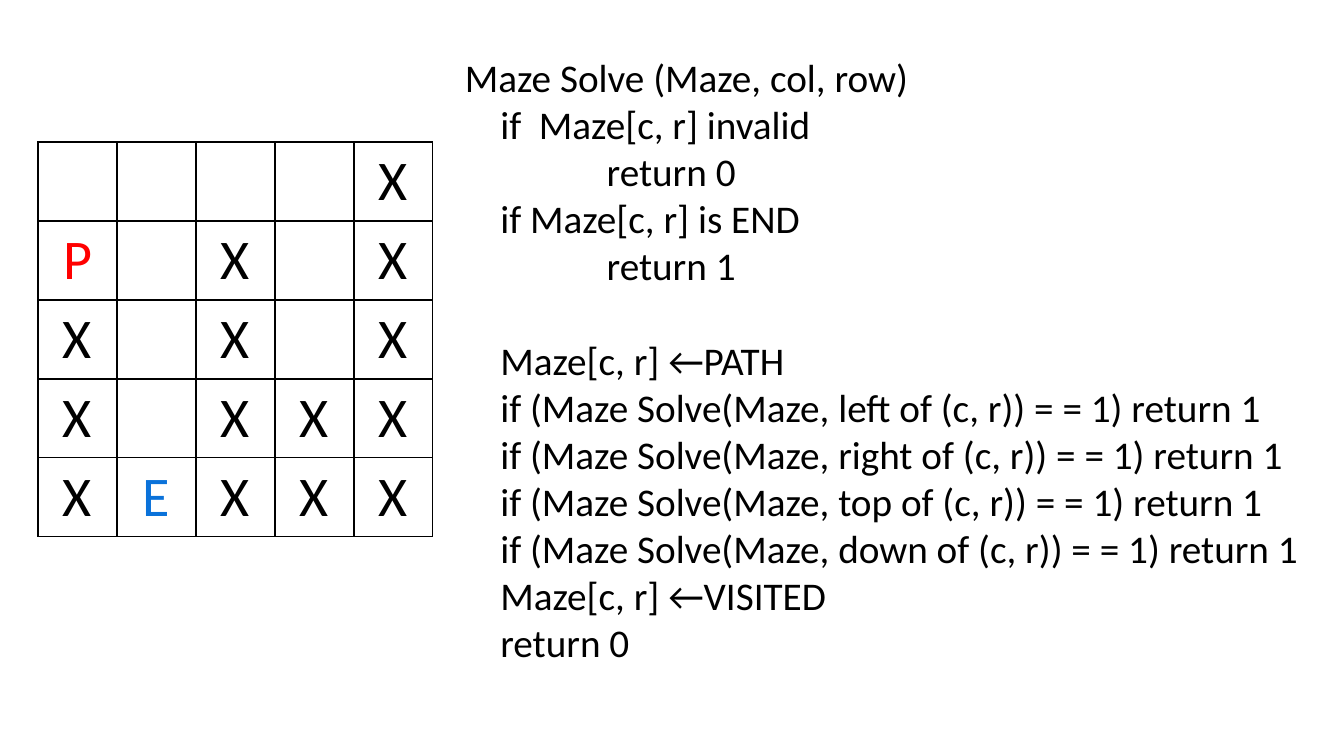
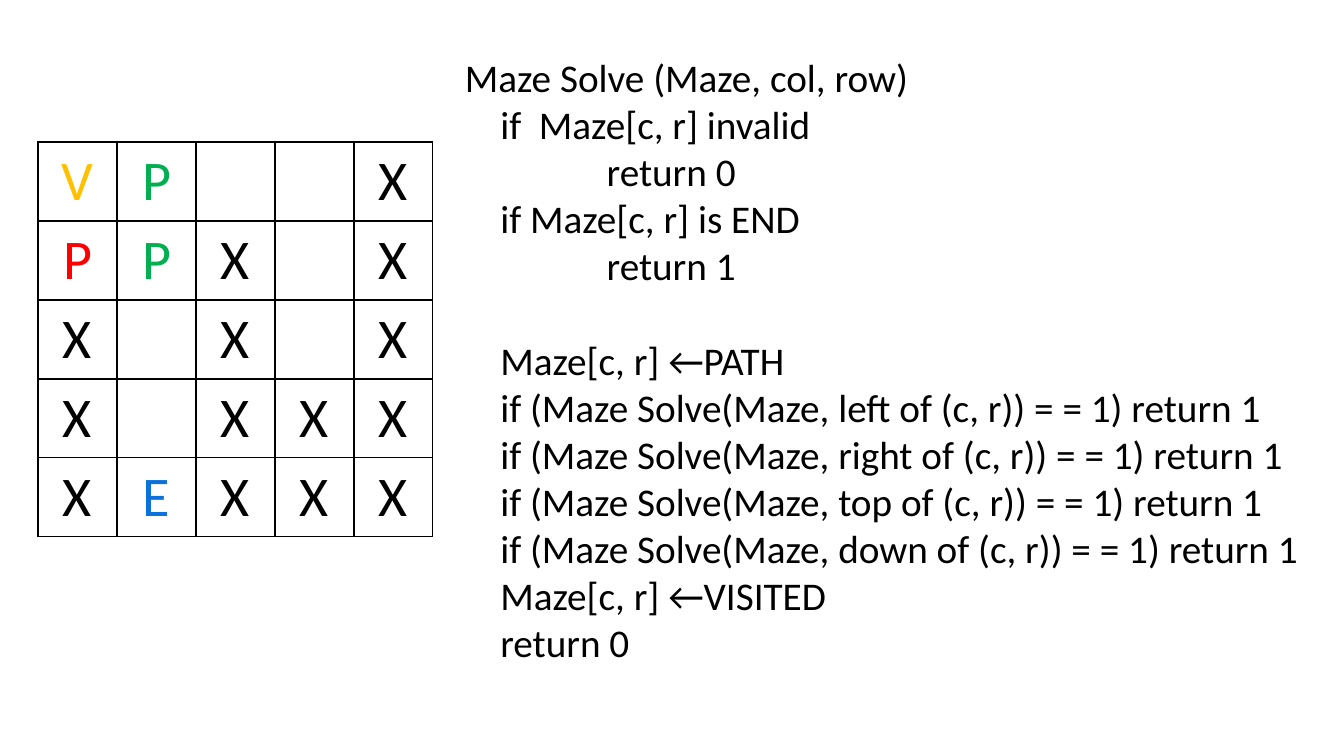
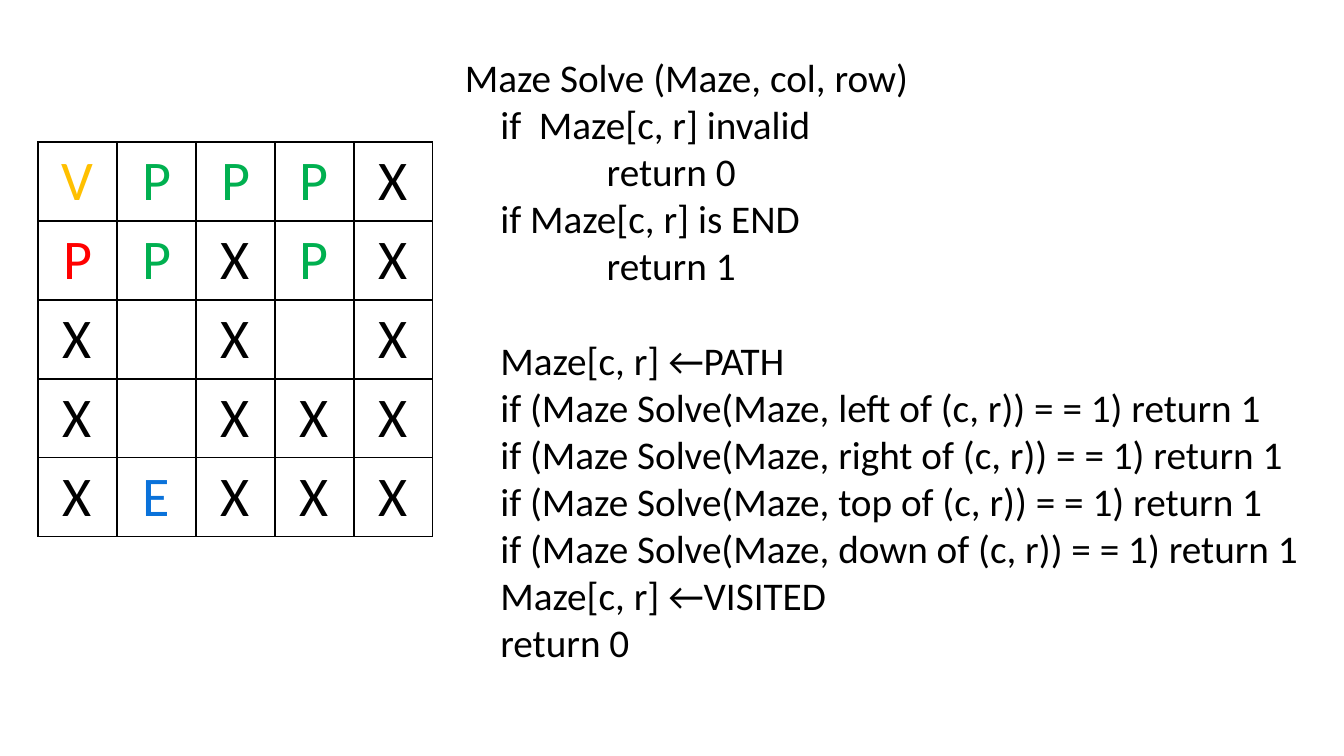
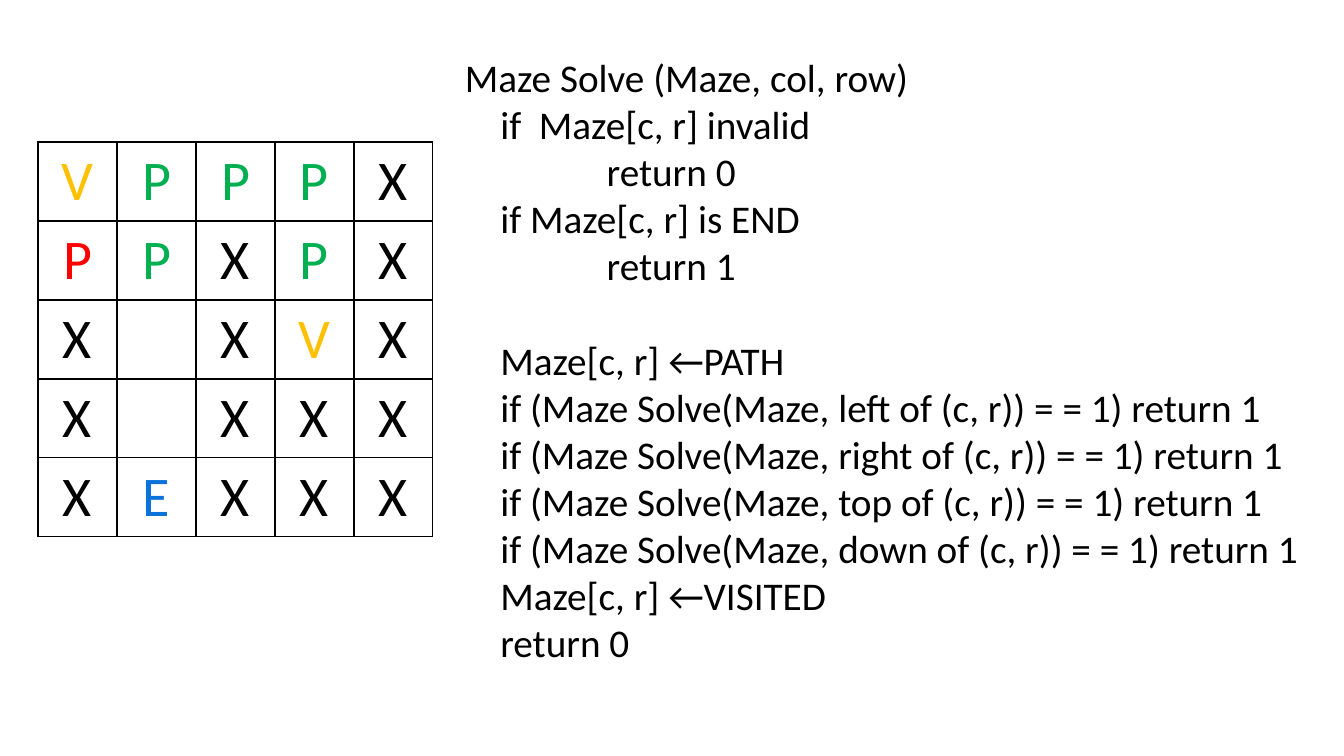
from lxml import etree
from pptx import Presentation
from pptx.dml.color import RGBColor
from pptx.enum.text import MSO_ANCHOR, MSO_AUTO_SIZE, PP_ALIGN
from pptx.oxml.ns import qn
from pptx.util import Emu, Pt

CENTER = PP_ALIGN.CENTER
MIDDLE = MSO_ANCHOR.MIDDLE
GROW = MSO_AUTO_SIZE.SHAPE_TO_FIT_TEXT

EMU_PER_PX = 914400 / 100.8
FONT = "Calibri"
COLORS = {
    "text": "000000",
    "start": "FF0000",
    "X": "000000",
    "E": "0A72DA",
    "P": "00B050",
    "V": "FFC000",
}

# Maze: walls, start and end, then the marks each slide adds by (row, column)
MAZE = [
    "    X",
    "P X X",
    "X X X",
    "X XXX",
    "XEXXX",
]
START = (1, 0)
STEPS = [
    {},
    {(0, 0): "V", (0, 1): "P", (1, 1): "P"},
    {(0, 2): "P", (0, 3): "P", (1, 3): "P"},
    {(2, 3): "V"},
]
CELL = 79

CODE = [
    "Maze Solve (Maze, col, row)",
    "    if  Maze[c, r] invalid",
    "                return 0",
    "    if Maze[c, r] is END",
    "                return 1",
    "    Maze[c, r] ←PATH",
    "    if (Maze Solve(Maze, left of (c, r)) = = 1) return 1",
    "    if (Maze Solve(Maze, right of (c, r)) = = 1) return 1",
    "    if (Maze Solve(Maze, top of (c, r)) = = 1) return 1",
    "    if (Maze Solve(Maze, down of (c, r)) = = 1) return 1",
    "    Maze[c, r] ←VISITED",
    "    return 0",
]
SEARCH_LINE = 5  # first line after the gap
LINE_GAP = Pt(34)


def px(length):
    return Emu(round(length * EMU_PER_PX))


def style(paragraph, size, color):
    for run in paragraph.runs:
        run.font.name = FONT
        run.font.size = Pt(size)
        run.font.color.rgb = RGBColor.from_string(COLORS[color])


presentation = Presentation()
presentation.slide_width = px(1344)
presentation.slide_height = px(756)
blank_layout = presentation.slide_layouts[6]

marks = {
    (row, column): mark
    for row, line in enumerate(MAZE)
    for column, mark in enumerate(line)
}

for step in STEPS:
    slide = presentation.slides.add_slide(blank_layout)
    marks.update(step)

    # Maze grid
    side = len(MAZE)
    table = slide.shapes.add_table(
        side, side, px(38), px(142), px(CELL * side), px(CELL * side)
    ).table
    table.first_row = False
    table.horz_banding = False
    for band in range(side):
        table.columns[band].width = px(CELL)
        table.rows[band].height = px(CELL)

    for position, mark in marks.items():
        cell = table.cell(*position)
        cell.vertical_anchor = MIDDLE
        properties = cell._tc.get_or_add_tcPr()
        for edge in ("a:lnL", "a:lnR", "a:lnT", "a:lnB"):
            border = etree.SubElement(properties, qn(edge), w=str(Pt(1)))
            fill = etree.SubElement(border, qn("a:solidFill"))
            etree.SubElement(fill, qn("a:srgbClr"), val=COLORS["text"])
        cell.fill.background()
        if mark != " ":
            cell.text_frame.text = mark
            paragraph = cell.text_frame.paragraphs[0]
            paragraph.alignment = CENTER
            style(paragraph, 40, "start" if position == START else mark)

    # Pseudocode
    code_box = slide.shapes.add_textbox(px(455), px(48), px(874), px(628))
    text_frame = code_box.text_frame
    text_frame.word_wrap = True
    text_frame.auto_size = GROW
    text_frame.text = "\n".join(CODE)
    for paragraph in text_frame.paragraphs:
        style(paragraph, 28, "text")
    text_frame.paragraphs[SEARCH_LINE].space_before = LINE_GAP

presentation.save("out.pptx")
